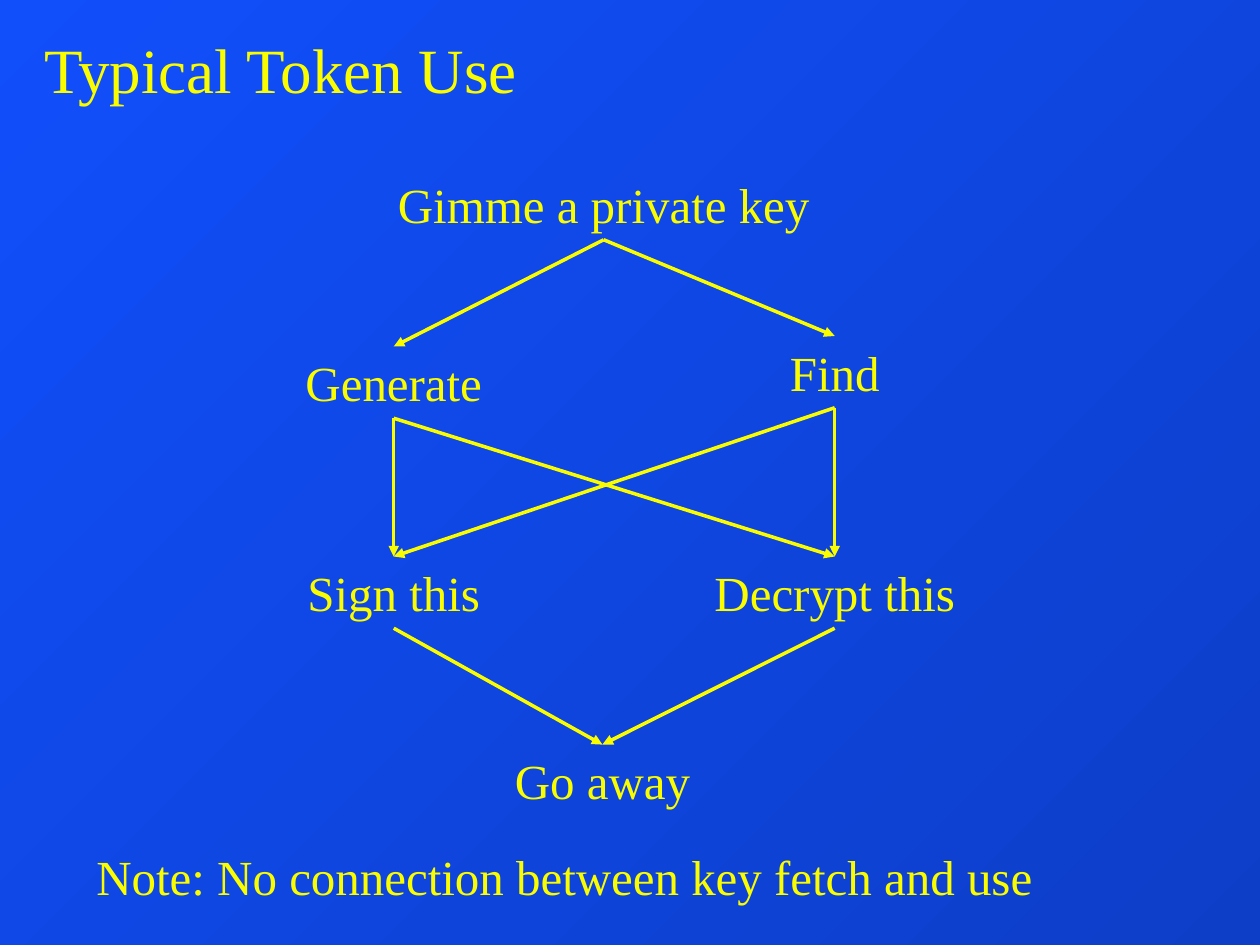
from lxml.etree import SubElement
from pptx import Presentation
from pptx.dml.color import RGBColor
from pptx.enum.shapes import MSO_CONNECTOR
from pptx.enum.text import MSO_ANCHOR, PP_ALIGN
from pptx.oxml.ns import qn
from pptx.util import Pt

TOP, BOTTOM = 0, 2


def color(hex_string):
    return RGBColor.from_string(hex_string)


def write_text(shape, text, *, size, font, ink, align=PP_ALIGN.LEFT, anchor=MSO_ANCHOR.TOP, wrap=True):
    frame = shape.text_frame
    frame.word_wrap = wrap
    frame.vertical_anchor = anchor
    paragraph = frame.paragraphs[0]
    paragraph.text = text
    paragraph.alignment = align
    paragraph.font.size = Pt(size)
    paragraph.font.name = font
    paragraph.font.color.rgb = color(ink)


class TokenSlide:
    font = "Times New Roman"
    ink = "FAFD00"
    title_size = 36
    label_size = 28
    label_height = 41
    line_width = 2

    def __init__(self, presentation):
        self.slide = presentation.slides.add_slide(presentation.slide_layouts[5])

    def background(self, start, end, angle):
        fill = self.slide.background.fill
        fill.gradient()
        fill.gradient_angle = angle
        for stop, shade in zip(fill.gradient_stops, (start, end)):
            stop.color.rgb = color(shade)

    def title(self, text, left, top, width, height):
        shape = self.slide.shapes.title
        shape.left, shape.top = Pt(left), Pt(top)
        shape.width, shape.height = Pt(width), Pt(height)
        write_text(shape, text, size=self.title_size, font=self.font, ink=self.ink,
                   anchor=MSO_ANCHOR.MIDDLE)

    def label(self, text, left, top, width, align=PP_ALIGN.CENTER, wrap=True):
        shape = self.slide.shapes.add_textbox(Pt(left), Pt(top), Pt(width), Pt(self.label_height))
        write_text(shape, text, size=self.label_size, font=self.font, ink=self.ink,
                   align=align, wrap=wrap)
        return shape

    def arrow(self, source, target):
        connector = self.slide.shapes.add_connector(MSO_CONNECTOR.STRAIGHT, 0, 0, 0, 0)
        connector.begin_connect(source, BOTTOM)
        connector.end_connect(target, TOP)
        connector.line.color.rgb = color(self.ink)
        connector.line.width = Pt(self.line_width)
        SubElement(connector.line._get_or_add_ln(), qn("a:tailEnd"), type="triangle")
        SubElement(connector._element.spPr, qn("a:effectLst"))


def main():
    presentation = Presentation()
    presentation.slide_width, presentation.slide_height = Pt(720), Pt(540)

    page = TokenSlide(presentation)
    page.background("0D3EC8", "114FFB", 135)
    page.title("Typical Token Use", 18, 12, 684, 54)

    request = page.label("Gimme a private key", 180, 96, 330)
    generate = page.label("Generate", 144, 198, 162)
    find = page.label("Find", 396, 192, 162)
    sign = page.label("Sign this", 162, 318, 126)
    decrypt = page.label("Decrypt this", 396, 318, 162)
    leave = page.label("Go away", 287, 425.5, 114.5, wrap=False)
    page.label("Note: No connection between key fetch and use", 48, 480, 576, align=PP_ALIGN.LEFT)

    steps = [[request], [generate, find], [sign, decrypt], [leave]]
    for sources, targets in zip(steps, steps[1:]):
        for source in sources:
            for target in targets:
                page.arrow(source, target)

    presentation.save("out.pptx")


if __name__ == "__main__":
    main()
